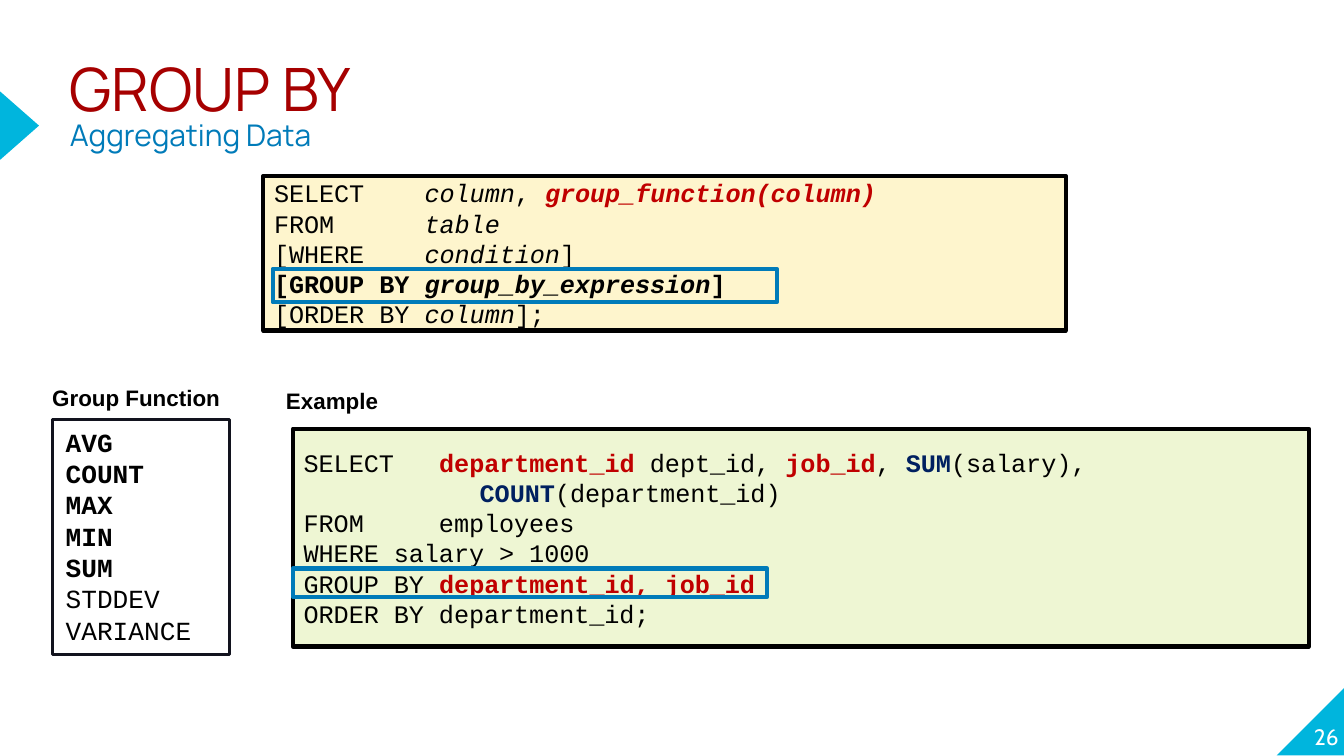
from pptx import Presentation
from pptx.dml.color import RGBColor
from pptx.enum.shapes import MSO_SHAPE
from pptx.enum.text import MSO_ANCHOR, PP_ALIGN
from pptx.util import Inches, Pt

BLACK, WHITE, RED, NAVY = "000000", "FFFFFF", "C00000", "002060"
CYAN, BLUE, CRIMSON = "00B5DD", "007BB9", "A60000"

PLAIN = {"name": "Courier New", "color": BLACK}
ITALIC = {**PLAIN, "italic": True}
BOLD = {**PLAIN, "bold": True}
BOLD_ITALIC = {**BOLD, "italic": True}
RED_BOLD = {**BOLD, "color": RED}
NAVY_BOLD = {**BOLD, "color": NAVY}
LABEL = {"name": "Arial", "bold": True, "color": BLACK}

presentation = Presentation()
presentation.slide_width = Inches(10)
presentation.slide_height = Inches(10) * 9 // 16
slide = presentation.slides.add_slide(presentation.slide_layouts[6])


def add_box(preset, place, fill=None, line=None, line_width=2.25):
    shape = slide.shapes.add_shape(preset, *[Inches(length) for length in place])
    shape.shadow.inherit = False
    if fill:
        shape.fill.solid()
        shape.fill.fore_color.rgb = RGBColor.from_string(fill)
    else:
        shape.fill.background()
    if line:
        shape.line.color.rgb = RGBColor.from_string(line)
        shape.line.width = Pt(line_width)
    else:
        shape.line.fill.background()
    return shape


def write(shape, lines, size, margins=(0.1, 0.05), anchor=MSO_ANCHOR.TOP, align=PP_ALIGN.LEFT):
    """Fill a shape with lines, each a list of (text, format) runs."""
    frame = shape.text_frame
    frame.word_wrap = True
    frame.vertical_anchor = anchor
    frame.margin_left = frame.margin_right = Inches(margins[0])
    frame.margin_top = frame.margin_bottom = Inches(margins[1])
    for index, runs in enumerate(lines):
        paragraph = frame.add_paragraph() if index else frame.paragraphs[0]
        paragraph.alignment = align
        for text, style in runs:
            if text == "\v":
                paragraph.add_line_break()
                continue
            run = paragraph.add_run()
            run.text = text
            run.font.size = Pt(size)
            for key, value in style.items():
                if key == "color":
                    run.font.color.rgb = RGBColor.from_string(value)
                else:
                    setattr(run.font, key, value)
    return frame


# Corner and edge triangles
corner = add_box(MSO_SHAPE.RIGHT_TRIANGLE, (9.5, 5.11, 0.51, 0.51), CYAN)
corner.element.spPr.xfrm.set("flipH", "1")
pointer = add_box(MSO_SHAPE.ISOSCELES_TRIANGLE, (-0.11, 0.79, 0.51, 0.29), CYAN)
pointer.rotation = 90

# Title and slide number
title = slide.shapes.add_textbox(Inches(0.52), Inches(0.49), Inches(6.17), Inches(0.35))
heading = write(title, [[
    ("GROUP BY", {"name": "Manrope", "color": CRIMSON}),
    ("\v", {}),
    ("Aggregating Data", {"name": "Manrope", "color": BLUE, "size": Pt(16)}),
]], 32, (0, 0)).paragraphs[0]
heading.line_spacing = 0.8

number = slide.shapes.add_textbox(Inches(9.46), Inches(5.07), Inches(0.5), Inches(0.51))
write(number, [[("26", {"name": "Cabin", "color": WHITE})]], 12, (0, 0), MSO_ANCHOR.BOTTOM, PP_ALIGN.RIGHT)

# Syntax panel
syntax = add_box(MSO_SHAPE.RECTANGLE, (1.96, 1.31, 5.97, 1.15), "FEF5CD", BLACK)
write(syntax, [
    [("SELECT    ", PLAIN), ("column", ITALIC), (", ", PLAIN),
     ("group_function(column)", {**RED_BOLD, "italic": True})],
    [("FROM      ", PLAIN), ("table", ITALIC)],
    [("[WHERE    ", PLAIN), ("condition", ITALIC), ("]", PLAIN)],
    [("[GROUP BY ", BOLD), ("group_by_expression", BOLD_ITALIC), ("]", BOLD)],
    [("[ORDER BY ", PLAIN), ("column", ITALIC), ("];", PLAIN)],
], 13.5, (0.08, 0.04), MSO_ANCHOR.MIDDLE)
add_box(MSO_SHAPE.RECTANGLE, (2.03, 2, 3.75, 0.25), line=BLUE)

# Group functions
functions = add_box(MSO_SHAPE.RECTANGLE, (0.39, 3.12, 1.32, 1.75), line="12131E", line_width=1.5)
common = [[(name, BOLD)] for name in ("AVG", "COUNT", "MAX", "MIN", "SUM")]
others = [[(name, PLAIN)] for name in ("STDDEV", "VARIANCE")]
write(functions, common + others, 14)

# Example query
example = add_box(MSO_SHAPE.RECTANGLE, (2.18, 3.19, 7.56, 1.62), "EEF6D3", BLACK)
query = write(example, [
    [("SELECT   ", PLAIN), ("department_id ", RED_BOLD), ("dept_id, ", PLAIN), ("job_id", RED_BOLD),
     (", ", PLAIN), ("SUM", NAVY_BOLD), ("(salary),", PLAIN)],
    [("COUNT", NAVY_BOLD), ("(department_id)", PLAIN)],
    [("FROM     employees", PLAIN)],
    [("WHERE salary > 1000", PLAIN)],
    [("GROUP BY ", PLAIN), ("department_id, job_id", RED_BOLD)],
    [("ORDER BY department_id;", PLAIN)],
], 13.5, (0.08, 0.04), MSO_ANCHOR.MIDDLE)
query.paragraphs[1]._p.get_or_add_pPr().set("marL", str(Inches(1.31)))
add_box(MSO_SHAPE.RECTANGLE, (2.18, 4.23, 3.53, 0.21), line=BLUE)

# Panel labels
for text, left, top in (("Group Function", 0.29, 2.81), ("Example", 2.03, 2.83)):
    label = slide.shapes.add_textbox(Inches(left), Inches(top), Inches(5.03), Inches(0.3))
    write(label, [[(text, LABEL)]], 12)

presentation.save("out.pptx")
